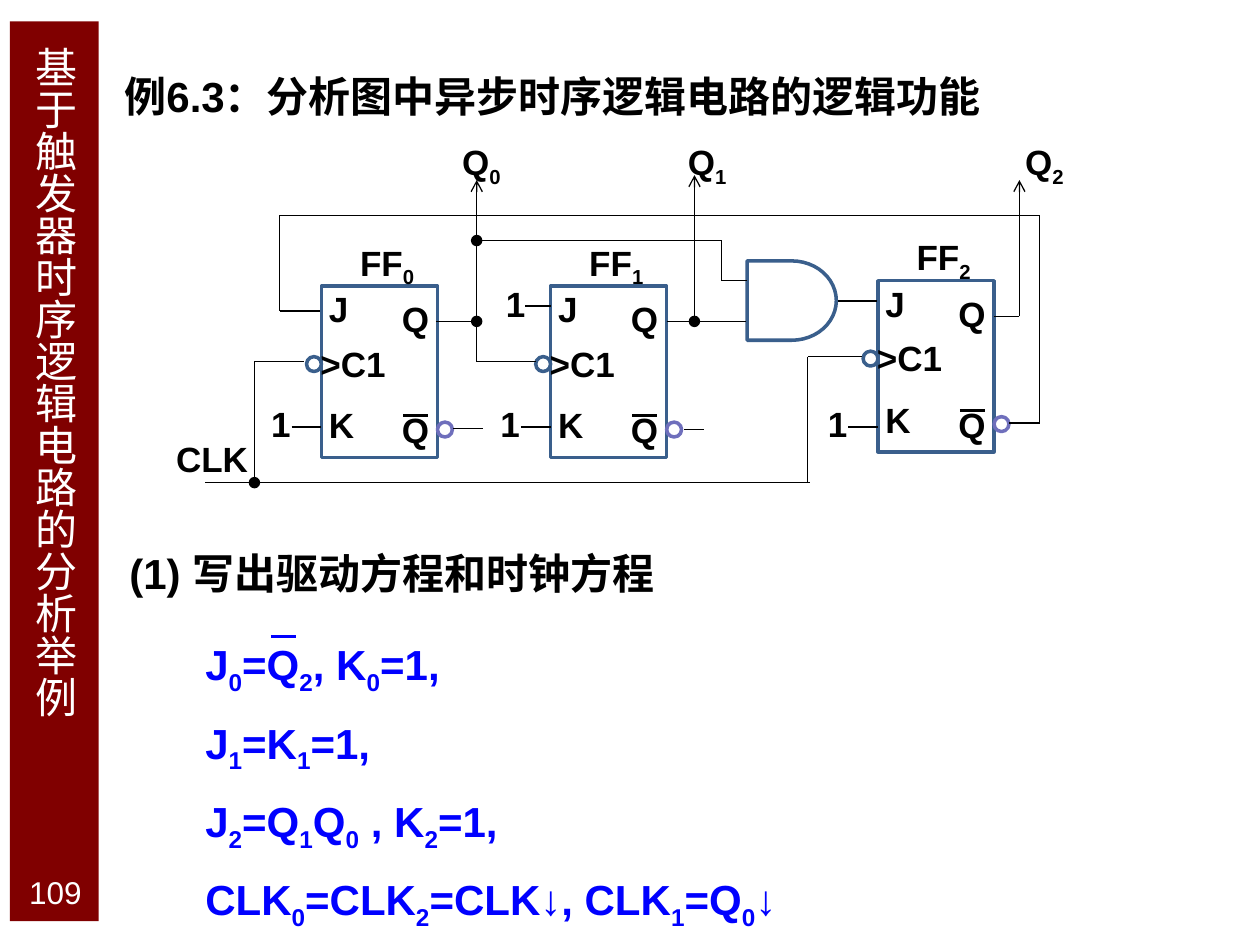
import itertools

import pptx
import pptx.dml.color
import pptx.enum.shapes
import pptx.enum.text
import pptx.oxml.ns
import pptx.util
from lxml import etree

Cm, Pt = pptx.util.Cm, pptx.util.Pt
SHAPE = pptx.enum.shapes.MSO_SHAPE
STRAIGHT = pptx.enum.shapes.MSO_CONNECTOR.STRAIGHT
ALIGN = pptx.enum.text.PP_ALIGN
ANCHOR = pptx.enum.text.MSO_ANCHOR
FIT = pptx.enum.text.MSO_AUTO_SIZE
qn = pptx.oxml.ns.qn

MAROON, WHITE, BLACK = "800000", "FFFFFF", "000000"
BLUE, STEEL, VIOLET = "0000FF", "3A5F8C", "6F6FBC"


def rgb(hex_value):
    return pptx.dml.color.RGBColor.from_string(hex_value)


def set_values(target, values):
    for name, value in values.items():
        setattr(target, name, value)


class CircuitSlide:
    font = "Arial"
    label_size = 20
    body_size = 24
    wire_width = 0.75
    outline_width = 2

    def __init__(self, slide):
        self.slide = slide

    def title(self, text, left, top, width, height):
        holder = self.slide.shapes.title
        set_values(holder, dict(left=Cm(left), top=Cm(top), width=Cm(width), height=Cm(height)))
        frame = holder.text_frame
        frame.text = text
        set_values(frame, dict(auto_size=FIT.NONE, word_wrap=True, vertical_anchor=ANCHOR.MIDDLE))
        frame._txBody.bodyPr.set("vert", "eaVert")
        frame.paragraphs[0].alignment = ALIGN.LEFT
        font = frame.paragraphs[0].runs[0].font
        set_values(font, dict(name="Karla", size=Pt(self.body_size), bold=False))
        font.color.rgb = rgb(WHITE)

    def shape(self, kind, left, top, width, height, fill=None, line=None):
        shape = self.slide.shapes.add_shape(kind, Cm(left), Cm(top), Cm(width), Cm(height))
        shape.shadow.inherit = False
        if fill:
            shape.fill.solid()
            shape.fill.fore_color.rgb = rgb(fill)
        else:
            shape.fill.background()
        if line:
            shape.line.color.rgb = rgb(line)
            shape.line.width = Pt(self.outline_width)
        else:
            shape.line.fill.background()
        return shape

    def bubble(self, left, top, color):
        self.shape(SHAPE.OVAL, left, top, 0.3, 0.3, line=color)

    def junction(self, x, y):
        self.shape(SHAPE.OVAL, x - 0.08, y - 0.08, 0.16, 0.16, BLACK, BLACK)

    def wire(self, *points, color=BLACK, width=wire_width, arrow=False):
        """Joins the points with straight lines; an arrow sits at the last point."""
        for (x1, y1), (x2, y2) in zip(points, points[1:]):
            segment = self.slide.shapes.add_connector(STRAIGHT, Cm(x1), Cm(y1), Cm(x2), Cm(y2))
            segment.line.color.rgb = rgb(color)
            segment.line.width = Pt(width)
            etree.SubElement(segment._element.spPr, qn("a:effectLst"))
        if arrow:
            etree.SubElement(segment.line._get_or_add_ln(), qn("a:tailEnd"), type="arrow")

    def runs(self, paragraph, text, size, color, bold=True):
        """Writes text in which an underscore lowers the character after it."""
        marked = [(char, before == "_") for before, char in zip(" " + text, text) if char != "_"]
        for (low, arrow), group in itertools.groupby(marked, lambda m: (m[1], m[0] == "↓")):
            run = paragraph.add_run()
            run.text = "".join(char for char, _ in group)
            set_values(run.font, dict(name=self.font, size=Pt(size), bold=bold and not arrow))
            run.font.color.rgb = rgb(color)
            if low:
                run._r.get_or_add_rPr().set("baseline", "-25000")

    def text(self, lines, left, top, width=1.63, height=1.02, align=ALIGN.LEFT,
             size=label_size, color=BLACK, spacing=0.9):
        box = self.slide.shapes.add_textbox(Cm(left), Cm(top), Cm(width), Cm(height))
        frame = box.text_frame
        set_values(frame, dict(word_wrap=True, auto_size=FIT.SHAPE_TO_FIT_TEXT))
        for number, line in enumerate(lines):
            paragraph = frame.add_paragraph() if number else frame.paragraphs[0]
            set_values(paragraph, dict(alignment=align, line_spacing=spacing,
                                       space_before=Pt(round(size * 0.23, 1))))
            self.runs(paragraph, line, size, color)

    def flip_flop(self, index, x, y):
        self.shape(SHAPE.RECTANGLE, x, y, 2.34, 3.45, line=STEEL)
        self.text([f"FF_{index}"], x + 0.45, y - 1.02, 1.75, align=ALIGN.CENTER)
        for pin, dy in (("J", 0), ("K", 2.34)):
            self.text([pin], x - 0.1, y + dy)
        for dy in (0.2, 2.44):
            self.text(["Q"], x + 0.79, y + dy, align=ALIGN.RIGHT)
        self.wire((x + 1.65, y + 2.61), (x + 2.15, y + 2.61), width=1.5)
        self.text([">C1"], x - 0.27, y + 1.1, 2.1)
        self.bubble(x - 0.3, y + 1.42, STEEL)
        self.bubble(x + 2.34, y + 2.74, VIOLET)
        self.text(["1"], x - 1.63, 8.08, align=ALIGN.CENTER)
        self.wire((x - 0.6, 8.61), (x, 8.61))


def main():
    deck = pptx.Presentation()
    set_values(deck, dict(slide_width=Cm(25.4), slide_height=Cm(19.05)))
    page = CircuitSlide(deck.slides.add_slide(deck.slide_layouts[5]))

    sidebar = page.shape(SHAPE.RECTANGLE, 0.2, 0.43, 1.79, 18.14, MAROON)
    # The sidebar lies behind the title placeholder.
    page.slide.shapes.title._element.addprevious(sidebar._element)
    page.title("基于触发器时序逻辑电路的分析举例", 0.33, 0.81, 1.55, 14.5)

    page.text(["例6.3：分析图中异步时序逻辑电路的逻辑功能"], 2.26, 1.42, 23.14, 1.27,
              size=page.body_size)

    for index, (x, y) in enumerate([(6.48, 5.77), (11.1, 5.77), (17.7, 5.66)]):
        page.flip_flop(index, x, y)
    page.shape(SHAPE.FLOWCHART_DELAY, 15.06, 5.26, 1.8, 1.6, line=STEEL)

    for index, left in enumerate([8.89, 13.44, 20.24]):
        page.text([f"Q_{index}"], left, 2.72, align=ALIGN.CENTER)
    page.text(["1"], 9.58, 5.66, align=ALIGN.CENTER)
    page.text(["CLK"], 3.3, 8.79, 2.03)

    clock_x, q0_x, q1_x, q2_x, feedback_x = 5.13, 9.61, 14, 20.55, 20.96
    clock_y, q_y, branch_y = 9.73, 6.48, 4.85
    wires = [
        [(4.14, clock_y), (16.33, clock_y)],
        [(clock_x, clock_y), (clock_x, 7.29), (6.12, 7.29)],
        [(16.28, clock_y), (16.28, 7.19), (17.37, 7.19)],
        [(8.79, q_y), (q0_x, q_y)],
        [(q0_x, 7.29), (10.8, 7.29)],
        [(q0_x, branch_y), (14.55, branch_y), (14.55, 5.66), (15.06, 5.66)],
        [(13.44, q_y), (15.04, q_y)],
        [(16.89, 6.07), (17.68, 6.07)],
        [(20.04, 6.38), (q2_x, 6.38)],
        [(20.35, 8.53), (feedback_x, 8.53), (feedback_x, 4.34), (5.64, 4.34),
         (5.64, 6.27), (6.45, 6.27)],
        [(10.59, 6.17), (11.1, 6.17)],
        [(9.14, 8.64), (9.73, 8.64)],
        [(13.79, 8.66), (14.2, 8.66)],
    ]
    for points in wires:
        page.wire(*points)
    for x, start, end in ((q0_x, 7.29, 3.63), (q1_x, q_y, 3.53), (q2_x, 6.38, 3.63)):
        page.wire((x, start), (x, end), arrow=True)
    for x, y in ((clock_x, clock_y), (q0_x, q_y), (q0_x, branch_y), (q1_x, q_y)):
        page.junction(x, y)

    page.text(["(1) 写出驱动方程和时钟方程"], 2.36, 11.02, 23.04, 1.27, size=page.body_size)
    equations = [
        "J_0=Q_2, K_0=1,",
        "J_1=K_1=1,",
        "J_2=Q_1Q_0 , K_2=1,",
        "CLK_0=CLK_2=CLK↓, CLK_1=Q_0↓",
    ]
    page.text(equations, 3.89, 12.52, 21.51, 5.69, size=page.body_size, color=BLUE, spacing=1.2)
    page.wire((5.46, 12.83), (5.97, 12.83), color=BLUE, width=1.5)

    number = page.shape(SHAPE.RECTANGLE, 0.3, 17.53, 1.63, 0.89).text_frame
    set_values(number, dict(word_wrap=False, vertical_anchor=ANCHOR.MIDDLE))
    number.paragraphs[0].alignment = ALIGN.CENTER
    page.runs(number.paragraphs[0], "109", 18, WHITE, bold=False)

    deck.save("out.pptx")


if __name__ == "__main__":
    main()
